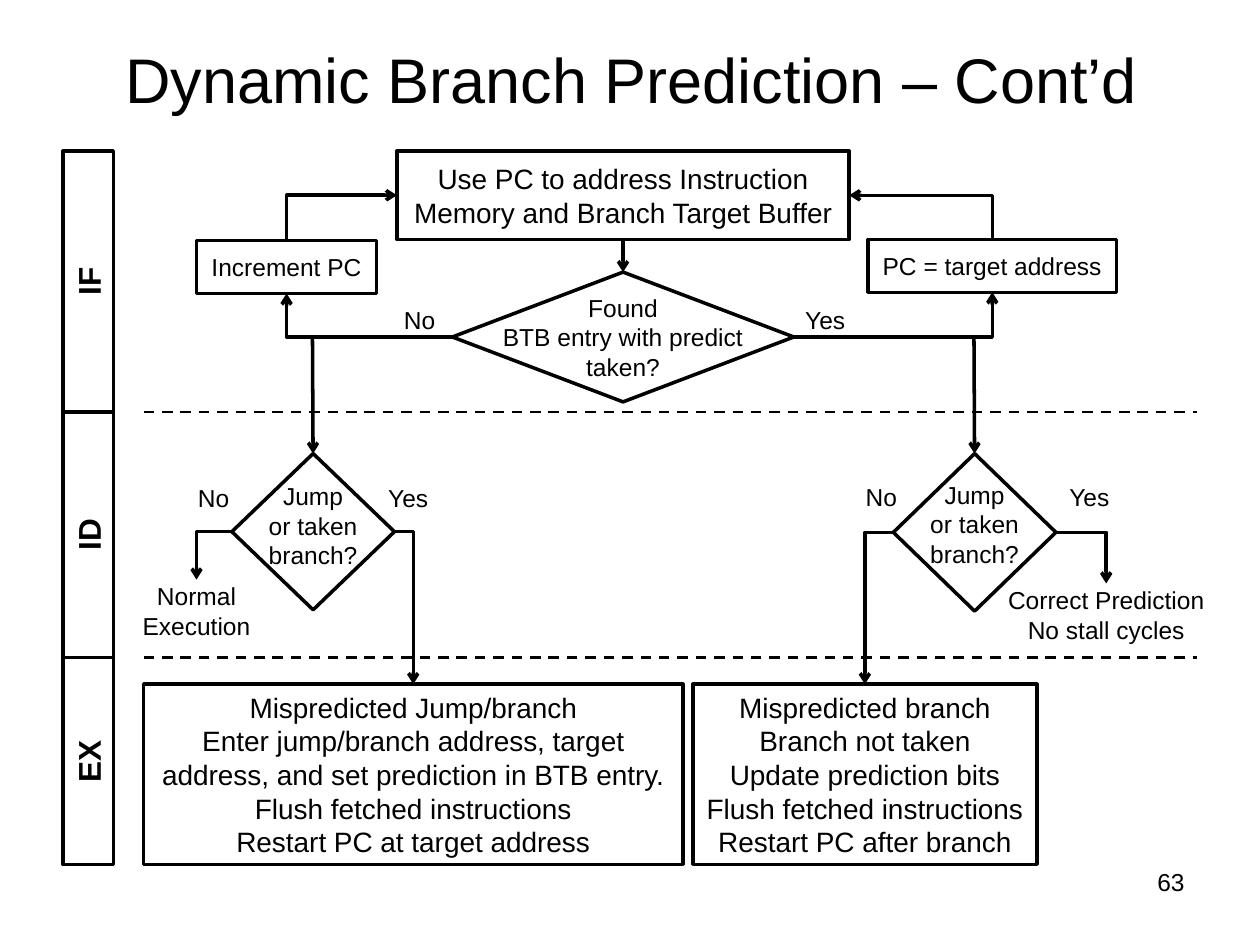
from dataclasses import dataclass
from itertools import pairwise

from lxml import etree
from pptx import Presentation
from pptx import util as u
from pptx.dml.color import RGBColor
from pptx.enum import dml, shapes, text
from pptx.oxml.ns import qn

TOP, LEFT, BOTTOM, RIGHT = range(4)
PROCESS = shapes.MSO_SHAPE.FLOWCHART_PROCESS
DECISION = shapes.MSO_SHAPE.FLOWCHART_DECISION
CENTER = text.PP_ALIGN.CENTER


@dataclass(frozen=True)
class Theme:
    ink: RGBColor = RGBColor(0, 0, 0)
    paper: RGBColor = RGBColor(255, 255, 255)
    font: str = "Arial"
    title: int = 36
    stage: int = 18
    action: int = 16
    label: int = 14
    outline: float = 2
    divider: float = 1.5


class FlowChart:
    def __init__(self, slide, theme):
        self.slide = slide
        self.theme = theme

    def set_text(self, shape, lines, size, align=CENTER, inset=0, bold=False,
                 anchor=text.MSO_ANCHOR.MIDDLE, wrap=True):
        frame = shape.text_frame
        frame.word_wrap = wrap
        frame.vertical_anchor = anchor
        frame.margin_left = frame.margin_right = u.Inches(inset)
        frame.margin_top = frame.margin_bottom = 0
        frame.text = "\n".join(lines)
        for paragraph in frame.paragraphs:
            paragraph.alignment = align
            paragraph.font.name = self.theme.font
            paragraph.font.size = u.Pt(size)
            paragraph.font.bold = bold
            paragraph.font.color.rgb = self.theme.ink

    def box(self, kind, place, lines=(), size=None, outlined=True, filled=False, **style):
        shape = self.slide.shapes.add_shape(kind, *map(u.Inches, place))
        shape.shadow.inherit = False
        if filled:
            shape.fill.solid()
            shape.fill.fore_color.rgb = self.theme.paper
        else:
            shape.fill.background()
        if outlined:
            shape.line.color.rgb = self.theme.ink
            shape.line.width = u.Pt(self.theme.outline)
        else:
            shape.line.fill.background()
        if lines:
            self.set_text(shape, lines, size or self.theme.label, **style)
        return shape

    def label(self, place, *lines):
        return self.box(PROCESS, place, lines, outlined=False)

    def caption(self, place, lines, size, **style):
        caption = self.slide.shapes.add_textbox(*map(u.Inches, place))
        self.set_text(caption, lines, size, **style)

    def decision(self, place, question_place, *lines):
        diamond = self.box(DECISION, place)
        self.caption(question_place, lines, self.theme.label, wrap=False)
        return diamond

    def stage(self, name, top, bottom):
        length, depth, middle = bottom - top, 0.4, 0.7
        place = (middle - length / 2, (top + bottom - depth) / 2, length, depth)
        band = self.box(shapes.MSO_SHAPE.RECTANGLE, place, [name], self.theme.stage, bold=True)
        band.rotation = 270

    def connector(self, start=(0, 0), end=(0, 0), width=None, kind=shapes.MSO_CONNECTOR.STRAIGHT):
        line = self.slide.shapes.add_connector(kind, *map(u.Inches, (*start, *end)))
        line.line.color.rgb = self.theme.ink
        line.line.width = u.Pt(width or self.theme.outline)
        etree.SubElement(line._element.spPr, qn("a:effectLst"))
        return line

    def arrowhead(self, line, end="tailEnd"):
        etree.SubElement(line._element.spPr.find(qn("a:ln")), qn(f"a:{end}"), type="arrow")

    def divider(self, y):
        line = self.connector((1.14, y), (9.5, y), self.theme.divider)
        line.line.dash_style = dml.MSO_LINE.DASH

    def drop(self, start, target):
        line = self.connector(start, (start[0], start[1] + 0.9))
        line.end_connect(target, TOP)
        self.arrowhead(line)

    def step(self, source, source_side, target, target_side):
        line = self.connector()
        line.begin_connect(source, source_side)
        line.end_connect(target, target_side)
        self.arrowhead(line)

    def bend(self, source, source_side, target, target_side, end="tailEnd"):
        line = self.connector(kind=shapes.MSO_CONNECTOR.ELBOW)
        line._element.spPr.find(qn("a:prstGeom")).set("prst", "bentConnector2")
        line.begin_connect(source, source_side)
        line.end_connect(target, target_side)
        self.arrowhead(line, end)


def main():
    deck = Presentation()
    deck.slide_width, deck.slide_height = u.Inches(10), u.Inches(7.5)
    theme = Theme()
    chart = FlowChart(deck.slides.add_slide(deck.slide_layouts[6]), theme)

    chart.caption((0.51, 0, 9, 1.25), ["Dynamic Branch Prediction – Cont’d"], theme.title)

    bounds = (1.2, 3.27, 5.22, 6.86)
    for name, (top, bottom) in zip(("IF", "ID", "EX"), pairwise(bounds)):
        chart.stage(name, top, bottom)
    for y in bounds[1:-1]:
        chart.divider(y)

    fetch = chart.box(PROCESS, (3.15, 1.2, 3.59, 0.7),
                      ["Use PC to address Instruction Memory and Branch Target Buffer"],
                      theme.action, filled=True)
    increment = chart.box(PROCESS, (1.56, 1.91, 1.43, 0.42), ["Increment PC"])
    target = chart.box(PROCESS, (6.89, 1.9, 1.97, 0.42), ["PC = target address"])
    found = chart.decision((3.59, 2.16, 2.71, 1.03), (3.86, 2.27, 2.17, 0.81),
                           "Found", "BTB entry with predict", "taken?")

    question = ("Jump", "or taken", "branch?")
    not_found_jump = chart.decision((1.84, 3.6, 1.29, 1.24), (2.03, 3.67, 0.91, 1), *question)
    found_jump = chart.decision((7.09, 3.6, 1.29, 1.25), (7.28, 3.66, 0.91, 1), *question)

    normal = chart.label((1.06, 4.6, 1, 0.49), "Normal", "Execution")
    correct = chart.label((7.94, 4.63, 1.68, 0.5), "Correct Prediction", "No stall cycles")
    missed_jump = chart.box(
        PROCESS, (1.14, 5.43, 4.28, 1.43),
        ["Mispredicted Jump/branch",
         "Enter jump/branch address, target address, and set prediction in BTB entry.",
         "Flush fetched instructions", "Restart PC at target address"],
        theme.action, inset=0.05)
    missed_branch = chart.box(
        PROCESS, (5.5, 5.43, 2.73, 1.43),
        ["Mispredicted branch", "Branch not taken", "Update prediction bits",
         "Flush fetched instructions", "Restart PC after branch"], theme.action)

    for answer, left, top, width in (
        ("No", 3.07, 2.4, 0.52), ("Yes", 6.38, 2.4, 0.34),
        ("No", 1.55, 3.81, 0.29), ("Yes", 3.07, 3.81, 0.34),
        ("No", 6.85, 3.8, 0.29), ("Yes", 8.44, 3.8, 0.41),
    ):
        chart.label((left, top, width, 0.28), answer)

    chart.step(fetch, BOTTOM, found, TOP)
    chart.bend(fetch, LEFT, increment, TOP, end="headEnd")
    chart.bend(fetch, RIGHT, target, TOP, end="headEnd")
    chart.bend(found, LEFT, increment, BOTTOM)
    chart.bend(found, RIGHT, target, BOTTOM)
    chart.drop((2.48, 2.68), not_found_jump)
    chart.drop((7.73, 2.68), found_jump)
    chart.bend(not_found_jump, LEFT, normal, TOP)
    chart.bend(not_found_jump, RIGHT, missed_jump, TOP)
    chart.bend(found_jump, LEFT, missed_branch, TOP)
    chart.bend(found_jump, RIGHT, correct, TOP)

    chart.caption((7.17, 6.88, 2.33, 0.42), ["63"], theme.label, inset=0.1,
                  align=text.PP_ALIGN.RIGHT, anchor=text.MSO_ANCHOR.TOP)

    deck.save("out.pptx")


if __name__ == "__main__":
    main()
